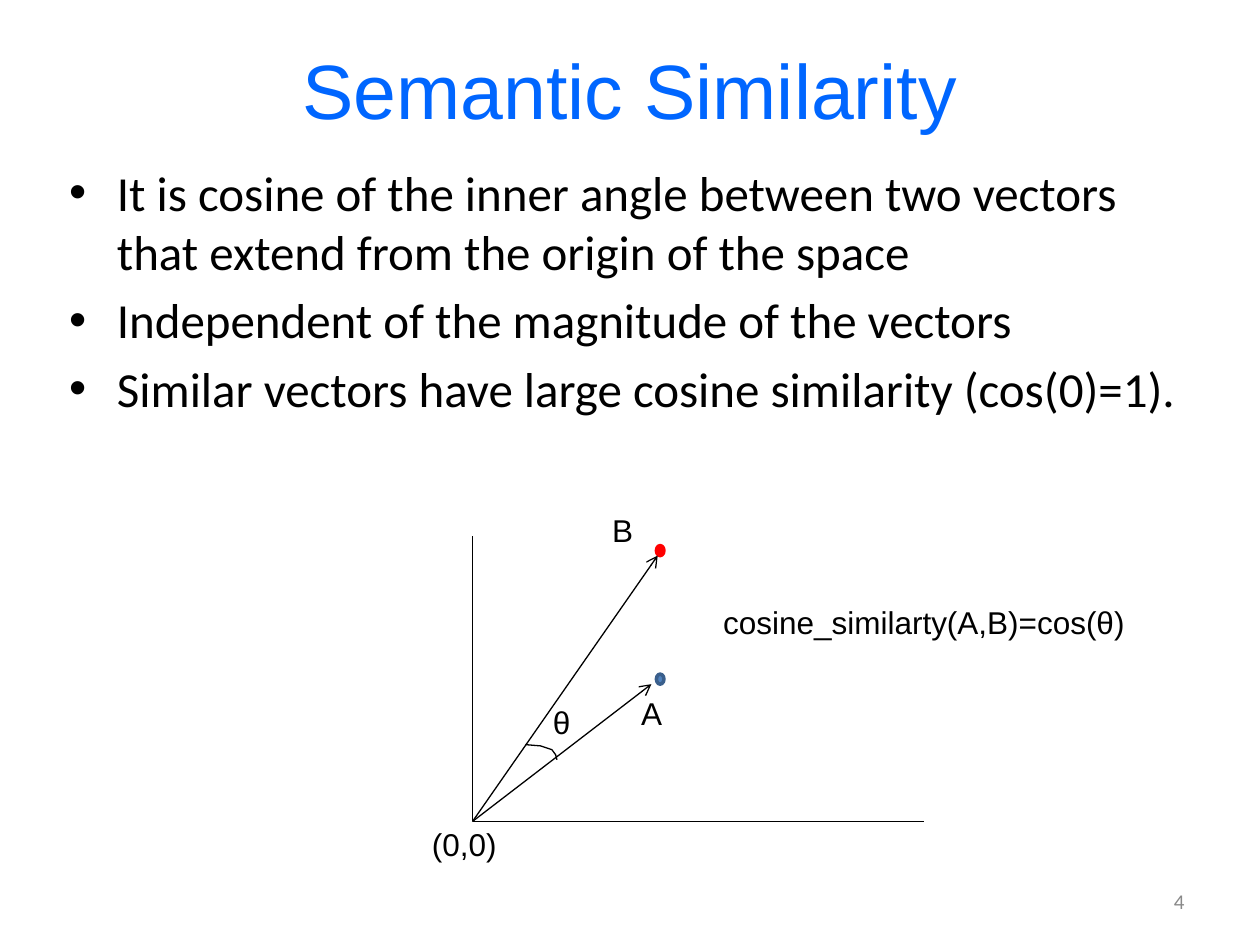
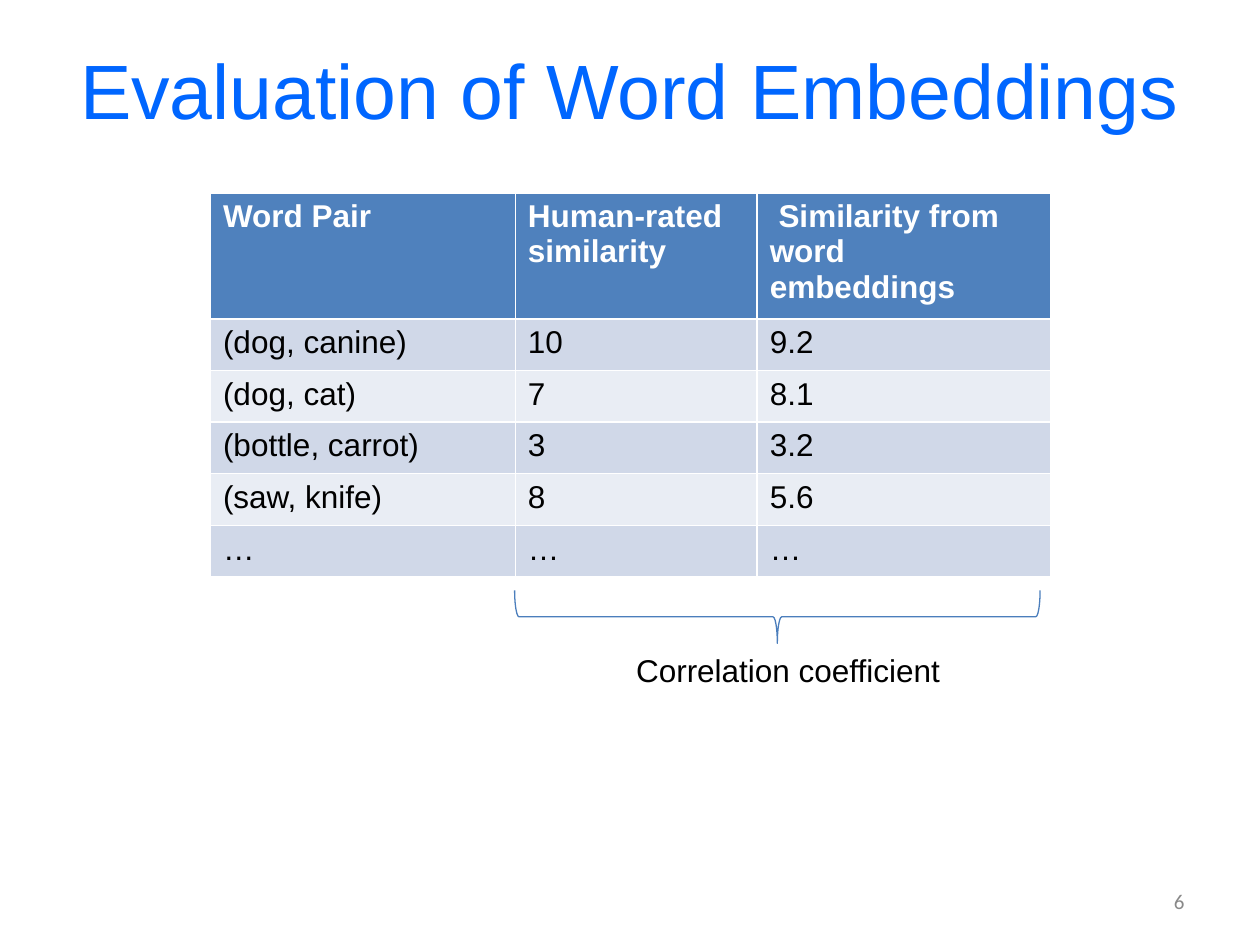
from lxml.etree import SubElement
from pptx import Presentation
from pptx.dml.color import RGBColor as Rgb
from pptx.enum.shapes import MSO_CONNECTOR as Link, MSO_SHAPE as Form
from pptx.enum.text import MSO_ANCHOR as Anchor, MSO_AUTO_SIZE as Fit, PP_ALIGN as Align
from pptx.oxml.ns import qn
from pptx.util import Inches, Pt

COLS, ROWS = 100, 75
UNIT = Inches(0.1)
BLACK, WHITE, RED, GREY = "000000", "FFFFFF", "FF0000", "898989"
HEAD, BLUE, RIM, BRACE = "0066FF", "4F81BD", "3A5F8C", "4B7EBC"
BANDS = ("D0D8E8", "E9EDF4")
ORIGIN = (37.5, 65.2)

POINTS = (
    "It is cosine of the inner angle between two vectors that extend from the origin of the space",
    "Independent of the magnitude of the vectors",
    "Similar vectors have large cosine similarity (cos(0)=1).",
)
PAIRS = (
    ("Word Pair", "Human-rated similarity", " Similarity from word embeddings"),
    ("(dog, canine)", "10", "9.2"),
    ("(dog, cat)", "7", "8.1"),
    ("(bottle, carrot)", "3", "3.2"),
    ("(saw, knife)", "8", "5.6"),
    ("…", "…", "…"),
)


def color(code):
    """Turn a hex string into a colour."""
    return Rgb.from_string(code)


def grid(*cells):
    """Turn grid steps into slide lengths."""
    return [round(cell * UNIT) for cell in cells]


def style(para, size, face="Arial", ink=BLACK, bold=False, align=Align.LEFT):
    """Set the font and alignment of a paragraph."""
    font = para.font
    font.size, font.name, font.bold = Pt(size), face, bold
    font.color.rgb = color(ink)
    para.alignment = align


def paint(shape, fill, line, width):
    """Set the fill and outline of a shape, without shadow."""
    shape.shadow.inherit = False
    if fill:
        shape.fill.solid()
        shape.fill.fore_color.rgb = color(fill)
    else:
        shape.fill.background()
    shape.line.color.rgb = color(line)
    shape.line.width = Pt(width)


def add_page(deck, title, number):
    """Add a slide with its title and page number."""
    page = deck.slides.add_slide(deck.slide_layouts[5])
    head = page.shapes.title
    head.left, head.top, head.width, head.height = grid(5, 0.8, 90, 12.5)
    frame = head.text_frame
    frame.text = title
    frame.auto_size, frame.vertical_anchor = Fit.NONE, Anchor.MIDDLE
    style(frame.paragraphs[0], 44, ink=HEAD, align=Align.CENTER)
    foot = page.shapes.add_textbox(*grid(71.7, 69.5, 23.3, 4)).text_frame
    foot.text, foot.vertical_anchor = number, Anchor.MIDDLE
    style(foot.paragraphs[0], 12, "Calibri", GREY, align=Align.RIGHT)
    return page


def add_points(page, points):
    """Add a list with hanging bullets."""
    frame = page.shapes.add_textbox(*grid(4.5, 12.4, 90, 56.7)).text_frame
    frame.word_wrap = True
    for i, point in enumerate(points):
        para = frame.add_paragraph() if i else frame.paragraphs[0]
        para.text = point
        style(para, 28, "Calibri")
        para.space_before = Pt(5.6)
        props = para._p.get_or_add_pPr()
        indent = Inches(0.38)
        props.set("marL", str(indent))
        props.set("indent", str(-indent))
        SubElement(props, qn("a:buFont"), typeface="Arial")
        SubElement(props, qn("a:buChar"), char="•")


def add_label(page, text, left, top, width):
    """Add a one-line label."""
    frame = page.shapes.add_textbox(*grid(left, top, width, 4)).text_frame
    frame.word_wrap, frame.auto_size = False, Fit.SHAPE_TO_FIT_TEXT
    frame.text = text
    style(frame.paragraphs[0], 18)


def add_ray(page, end, arrow=False):
    """Draw a line from the origin, with an optional arrowhead."""
    ray = page.shapes.add_connector(Link.STRAIGHT, *grid(*ORIGIN, *end))
    ray.line.color.rgb, ray.line.width = color(BLACK), Pt(0.75)
    if arrow:
        SubElement(ray.line._get_or_add_ln(), qn("a:tailEnd"), type="arrow")
    SubElement(ray._element.spPr, qn("a:effectLst"))


def add_dot(page, top, fill, line):
    """Mark the tip of a vector."""
    dot = page.shapes.add_shape(Form.OVAL, *grid(52.1, top, 0.6, 0.8))
    paint(dot, fill, line, 2)


def add_arc(page, start, *rest):
    """Draw the open outline that marks the angle."""
    pen = page.shapes.build_freeform(*grid(*start))
    pen.add_line_segments([grid(*spot) for spot in rest], close=False)
    paint(pen.convert_to_shape(), None, BLACK, 0.75)


def add_pairs(page, rows, widths):
    """Add the banded table of word pairs."""
    place = grid(16.7, 15.3, sum(widths), 4.1 * len(rows))
    table = page.shapes.add_table(len(rows), len(widths), *place).table
    for col, width in zip(table.columns, grid(*widths)):
        col.width = width
    for i, row in enumerate(rows):
        fill = BANDS[(i - 1) % 2] if i else BLUE
        for j, text in enumerate(row):
            cell = table.cell(i, j)
            cell.text = text
            cell.fill.solid()
            cell.fill.fore_color.rgb = color(fill)
            style(cell.text_frame.paragraphs[0], 18, ink=BLACK if i else WHITE, bold=not i)


def add_brace(page):
    """Add the brace below the two score columns."""
    brace = page.shapes.add_shape(Form.LEFT_BRACE, *grid(59.6, 28.1, 4.2, 41.7))
    brace.rotation = 270
    paint(brace, None, BRACE, 0.75)


def main():
    """Build and save both slides."""
    deck = Presentation()
    deck.slide_width, deck.slide_height = grid(COLS, ROWS)

    page = add_page(deck, "Semantic Similarity", "4")
    add_points(page, POINTS)
    for end in ((ORIGIN[0], 42.5), (73.3, ORIGIN[1])):
        add_ray(page, end)
    add_dot(page, 43.3, RED, RED)
    add_dot(page, 53.5, BLUE, RIM)
    for tip in ((51.7, 54.3), (52.2, 44.1)):
        add_ray(page, tip, arrow=True)
    add_arc(page, (41.7, 59.1), (42.9, 59.2), (43.5, 59.4), (43.8, 59.5), (44.1, 59.9), (44.2, 60.3))
    for label in (
        ("B", 47.6, 40.1, 3.7),
        ("A", 49.9, 54.6, 3.7),
        ("(0,0)", 33.3, 65, 7.2),
        ("cosine_similarty(A,B)=cos(θ)", 56.4, 47.4, 34.2),
        ("θ", 42.9, 55.3, 3.3),
    ):
        add_label(page, *label)

    page = add_page(deck, "Evaluation of Word Embeddings", "6")
    add_pairs(page, PAIRS, (24.2, 19.2, 23.3))
    add_brace(page)
    add_label(page, "Correlation coefficient", 49.5, 51.2, 26.4)

    deck.save("out.pptx")


if __name__ == "__main__":
    main()
